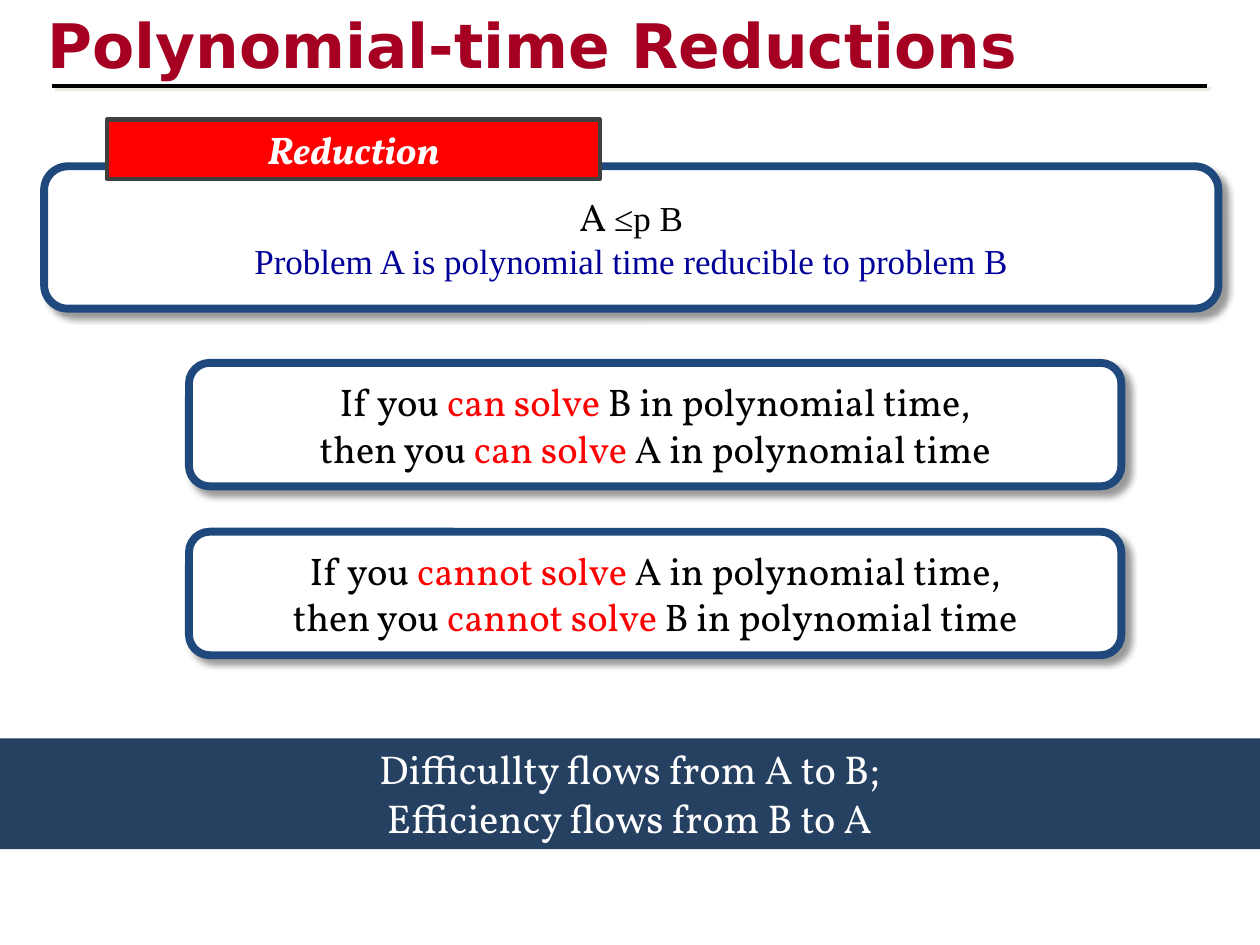
from dataclasses import dataclass

from pptx import Presentation
from pptx import util as u
from pptx.dml.color import RGBColor
from pptx.enum import shapes, text
from pptx.oxml import parse_xml
from pptx.oxml.ns import nsdecls


@dataclass(frozen=True)
class Theme:
    """Colours, fonts and type sizes of the slide."""
    black: str = "000000"
    white: str = "FFFFFF"
    red: str = "FF0000"
    maroon: str = "A50021"
    blue: str = "000099"
    frame: str = "1F497D"
    navy: str = "254061"
    grey: str = "404040"
    cream: str = "EEECE1"
    head_font: str = "DejaVu Sans"
    body_font: str = "Vollkorn"
    math_font: str = "Times New Roman"
    head: float = 35.1
    banner: float = 23
    body: float = 22
    math: float = 20


T = Theme()


def rgb(value):
    """Turn a hex string into a colour."""
    return RGBColor.from_string(value)


def shadow(color, alpha, blur, dist):
    """Return an effect list with a shadow cast down and to the right."""
    return parse_xml(
        f'<a:effectLst {nsdecls("a")}><a:outerShdw blurRad="{u.Pt(blur)}" '
        f'dist="{u.Pt(dist)}" dir="2700000" algn="tl" rotWithShape="0">'
        f'<a:srgbClr val="{color}"><a:alpha val="{alpha * 1000}"/></a:srgbClr>'
        '</a:outerShdw></a:effectLst>')


def set_font(font, name, size, color=None):
    """Set the typeface, size and optionally the colour of a font."""
    font.name = name
    font.size = u.Pt(size)
    if color:
        font.color.rgb = rgb(color)


def place(sp, x, y, w, h):
    """Position and size a shape in inches."""
    sp.left, sp.top, sp.width, sp.height = map(u.Inches, (x, y, w, h))


def add_title(s, title):
    """Fill the title placeholder and underline it with a rule."""
    sp = s.shapes.title
    place(sp, 0.28, 0.01, 8.5, 0.67)
    tf = sp.text_frame
    tf.auto_size = text.MSO_AUTO_SIZE.NONE
    tf.vertical_anchor = text.MSO_ANCHOR.TOP
    p = tf.paragraphs[0]
    p.alignment = text.PP_ALIGN.LEFT
    r = p.add_run()
    r.text = title
    r.font.bold = True
    r.font.color.rgb = rgb(T.maroon)
    r.font.fill._xPr.append(shadow(T.cream, 100, 0, 2.8))
    set_font(r.font, T.head_font, T.head)

    y = u.Inches(0.68)
    rule = s.shapes.add_connector(shapes.MSO_CONNECTOR.STRAIGHT,
                                  u.Inches(0.41), y, u.Inches(9.58), y)
    rule.line.color.rgb = rgb(T.black)
    rule.line.width = u.Pt(2.25)
    rule._element.spPr.append(shadow(T.cream, 100, 0, 2.8))


def add_shape(s, kind, box, fill, line=None, width=0):
    """Add a filled preset shape without a shadow."""
    sp = s.shapes.add_shape(kind, *map(u.Inches, box))
    sp.shadow.inherit = False
    sp.fill.solid()
    sp.fill.fore_color.rgb = rgb(fill)
    if line:
        sp.line.color.rgb = rgb(line)
        sp.line.width = u.Pt(width)
    else:
        sp.line.fill.background()
    return sp


def add_paragraph(tf, index, name, size, color=None):
    """Return a centred paragraph, reusing the first one of the frame."""
    p = tf.add_paragraph() if index else tf.paragraphs[0]
    p.alignment = text.PP_ALIGN.CENTER
    set_font(p.font, name, size, color)
    return p


def add_card(s, box, lines):
    """Add a rounded card; each line is its font, size and coloured runs."""
    sp = add_shape(s, shapes.MSO_SHAPE.ROUNDED_RECTANGLE, box, T.white, T.frame, 4.5)
    sp.adjustments[0] = 0.167
    spPr = sp._element.spPr
    spPr.replace(spPr.effectLst, shadow(T.black, 40, 4, 4))
    tf = sp.text_frame
    tf.word_wrap = False
    for i, (name, size, runs) in enumerate(lines):
        p = add_paragraph(tf, i, name, size)
        for words, color in runs:
            r = p.add_run()
            r.text = words
            r.font.color.rgb = rgb(color)
    return sp


def add_bar(s, box, fill, lines, size, line=None, width=0):
    """Add a rectangle with white centred lines and return its paragraphs."""
    sp = add_shape(s, shapes.MSO_SHAPE.RECTANGLE, box, fill, line, width)
    tf = sp.text_frame
    tf.word_wrap = True
    tf.auto_size = text.MSO_AUTO_SIZE.SHAPE_TO_FIT_TEXT
    tf.vertical_anchor = text.MSO_ANCHOR.TOP
    for i, words in enumerate(lines):
        add_paragraph(tf, i, T.body_font, size, T.white).text = words
    return tf.paragraphs


def main():
    """Build the slide and save it."""
    prs = Presentation()
    prs.slide_width, prs.slide_height = u.Inches(10), u.Inches(7.5)
    s = prs.slides.add_slide(prs.slide_layouts[5])
    add_title(s, "Polynomial-time Reductions")

    definition = add_card(s, (0.35, 1.32, 9.32, 1.13), [
        (T.math_font, T.math, [("A ", T.black), ("≤p B", T.black)]),
        (T.math_font, T.math,
         [("Problem A is polynomial time reducible to problem B", T.blue)])])
    set_font(definition.text_frame.paragraphs[0].runs[0].font, T.body_font, T.body)

    label, = add_bar(s, (0.85, 0.95, 3.91, 0.47), T.red, ["Reduction"], T.body,
                     T.grey, 2.5)
    label.font.bold = label.font.italic = True

    claims = [("can solve", "B", "A"), ("cannot solve", "A", "B")]
    for i, (verb, given, result) in enumerate(claims):
        add_card(s, (1.5, 2.88 + 1.34 * i, 7.4, 0.98), [
            (T.body_font, T.body, [("If you ", T.black), (verb, T.red),
                                   (f" {given} in polynomial time,", T.black)]),
            (T.body_font, T.body, [("then you ", T.black), (verb, T.red),
                                   (f" {result} in polynomial time", T.black)])])

    add_bar(s, (0, 5.86, 10, 0.88), T.navy,
            ["Difficullty flows from A to B;", "Efficiency flows from B to A"], T.banner)
    prs.save("out.pptx")


if __name__ == "__main__":
    main()
